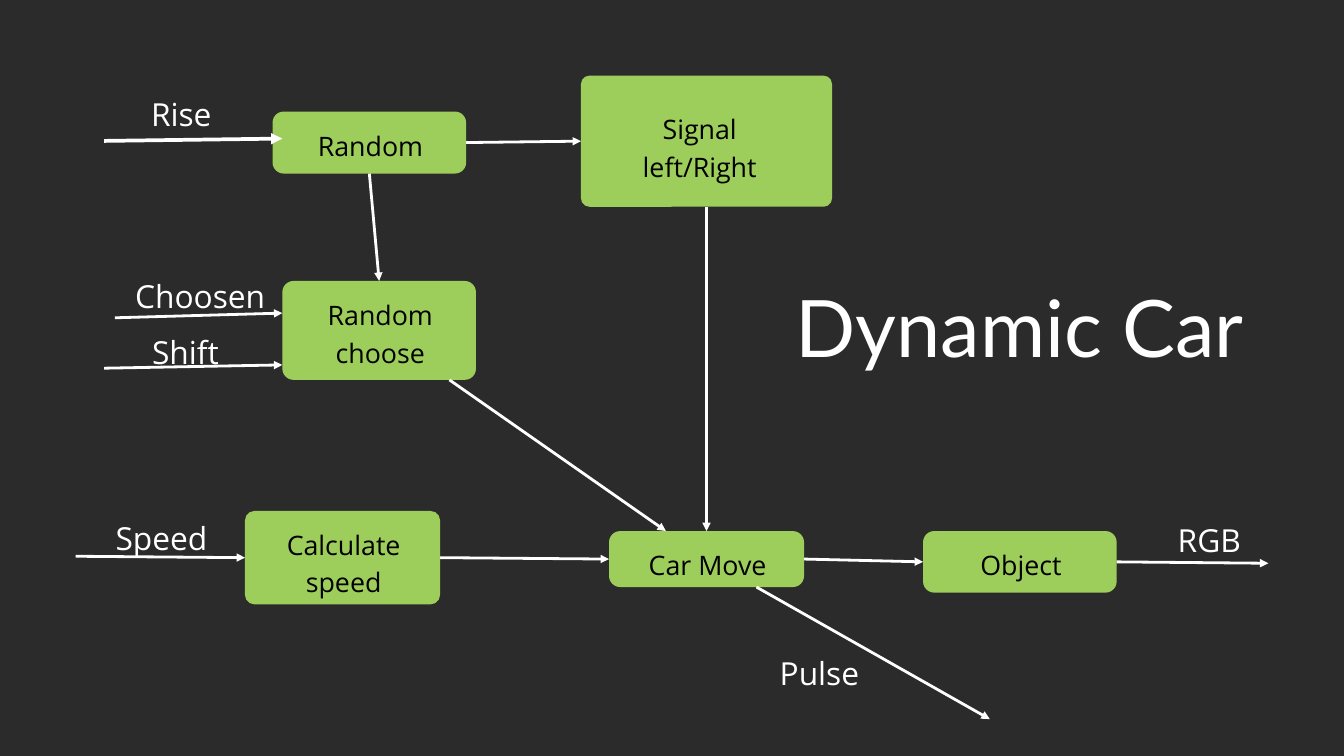
from lxml import etree
from pptx import Presentation
from pptx.dml.color import RGBColor
from pptx.enum.shapes import MSO_CONNECTOR, MSO_SHAPE
from pptx.enum.text import MSO_ANCHOR, PP_ALIGN
from pptx.oxml.ns import qn
from pptx.util import Pt

BACKGROUND = RGBColor(0x2B, 0x2B, 0x2B)
GREEN = RGBColor(0x9D, 0xCD, 0x5A)
WHITE = RGBColor(0xFF, 0xFF, 0xFF)
BLACK = RGBColor(0, 0, 0)

SLIDE_SIZE = 1440, 810
TOP, LEFT, BOTTOM, RIGHT = range(4)  # connection sites of a block

# text: left, top, width, height, corner radius
BLOCKS = {
    "Signal left/Right": (622.5, 81, 269, 140.5, 9),
    "Car Move": (652.5, 569, 209, 60, 12),
    "Random": (292, 119.5, 207.5, 66.5, 12),
    "Calculate speed": (262.5, 547.5, 209, 100, 10),
    "Random choose": (302.5, 301, 207.5, 106, 12),
    "Object": (989, 569, 207.5, 66, 12),
}
# left, top, right
INSETS = {"Signal left/Right": (37.5, 31.5, 52)}
USUAL_INSETS = 13.5, 10, 11

# text, left, top, width, height
SIGNAL_NAMES = [
    ("Rise", 157.5, 94.5, 73.5, 45),
    ("Choosen", 126.5, 290, 176, 45),
    ("Shift", 140.5, 350, 116.5, 45),
    ("Speed", 93.5, 549.5, 159, 45),
    ("Pulse", 831, 694, 94, 45),
    ("RGB", 1260, 551.5, 71.5, 45),
]

# start, end, width; an end is a point or a block with its site
ARROWS = [
    (("Random", BOTTOM), ("Random choose", TOP), 3),
    (("Random", RIGHT), ("Signal left/Right", LEFT), 3),
    (("Signal left/Right", BOTTOM), ("Car Move", TOP), 3),
    (("Calculate speed", RIGHT), ("Car Move", LEFT), 3),
    (("Car Move", RIGHT), ("Object", LEFT), 3),
    (("Object", RIGHT), (1359, 603.5), 3),
    ((81, 596), ("Calculate speed", LEFT), 3),
    ((481.5, 407), (713.5, 569), 3),
    ((810.5, 629), (1060.5, 770.5), 3),
    ((111.5, 151), (302.5, 148.5), 4),
    ((123, 340.5), (302.5, 335.5), 3),
    ((111.5, 394.5), (302.5, 391), 3),
]


def write(shape, text, size, spacing, color, font="Open Sans", insets=(0, 0, 0)):
    frame = shape.text_frame
    frame.word_wrap = True
    frame.vertical_anchor = MSO_ANCHOR.TOP
    frame.margin_left, frame.margin_top, frame.margin_right = map(Pt, insets)
    frame.margin_bottom = 0
    line = frame.paragraphs[0]
    line.alignment = PP_ALIGN.CENTER
    line.line_spacing = Pt(spacing)
    run = line.add_run()
    run.text = text
    run.font.name = font
    run.font.size = Pt(size)
    run.font.color.rgb = color


def add_block(slide, text, left, top, width, height, radius):
    block = slide.shapes.add_shape(
        MSO_SHAPE.ROUNDED_RECTANGLE, Pt(left), Pt(top), Pt(width), Pt(height))
    block.adjustments[0] = radius / min(width, height)
    block.shadow.inherit = False
    block.fill.solid()
    block.fill.fore_color.rgb = GREEN
    block.line.fill.background()
    write(block, text, 28.7, 40.2, BLACK, insets=INSETS.get(text, USUAL_INSETS))
    return block


def add_label(slide, text, left, top, width, height, **text_format):
    label = slide.shapes.add_textbox(Pt(left), Pt(top), Pt(width), Pt(height))
    write(label, text, color=WHITE, **text_format)


def add_arrow(slide, blocks, start, end, width):
    """Draw an arrow, glued to a block at each end that names one."""
    points = [(0, 0) if end_point[0] in blocks else end_point for end_point in (start, end)]
    arrow = slide.shapes.add_connector(
        MSO_CONNECTOR.STRAIGHT, *(Pt(value) for point in points for value in point))
    for (name, site), connect in ((start, arrow.begin_connect), (end, arrow.end_connect)):
        if name in blocks:
            connect(blocks[name], site)
    arrow.line.color.rgb = WHITE
    arrow.line.width = Pt(width)
    etree.SubElement(arrow.line._get_or_add_ln(), qn("a:tailEnd"), type="triangle")
    etree.SubElement(arrow._element.spPr, qn("a:effectLst"))


def main():
    deck = Presentation()
    deck.slide_width, deck.slide_height = map(Pt, SLIDE_SIZE)
    slide = deck.slides.add_slide(deck.slide_layouts[6])
    slide.background.fill.solid()
    slide.background.fill.fore_color.rgb = BACKGROUND

    blocks = {text: add_block(slide, text, *place) for text, place in BLOCKS.items()}
    add_label(slide, "Dynamic Car", 781, 281.5, 623, 114,
              size=84.9, spacing=118.8, font="Lato")
    for arrow in ARROWS:
        add_arrow(slide, blocks, *arrow)
    for name in SIGNAL_NAMES:
        add_label(slide, *name, size=34, spacing=47.6)
    deck.save("out.pptx")


if __name__ == "__main__":
    main()
